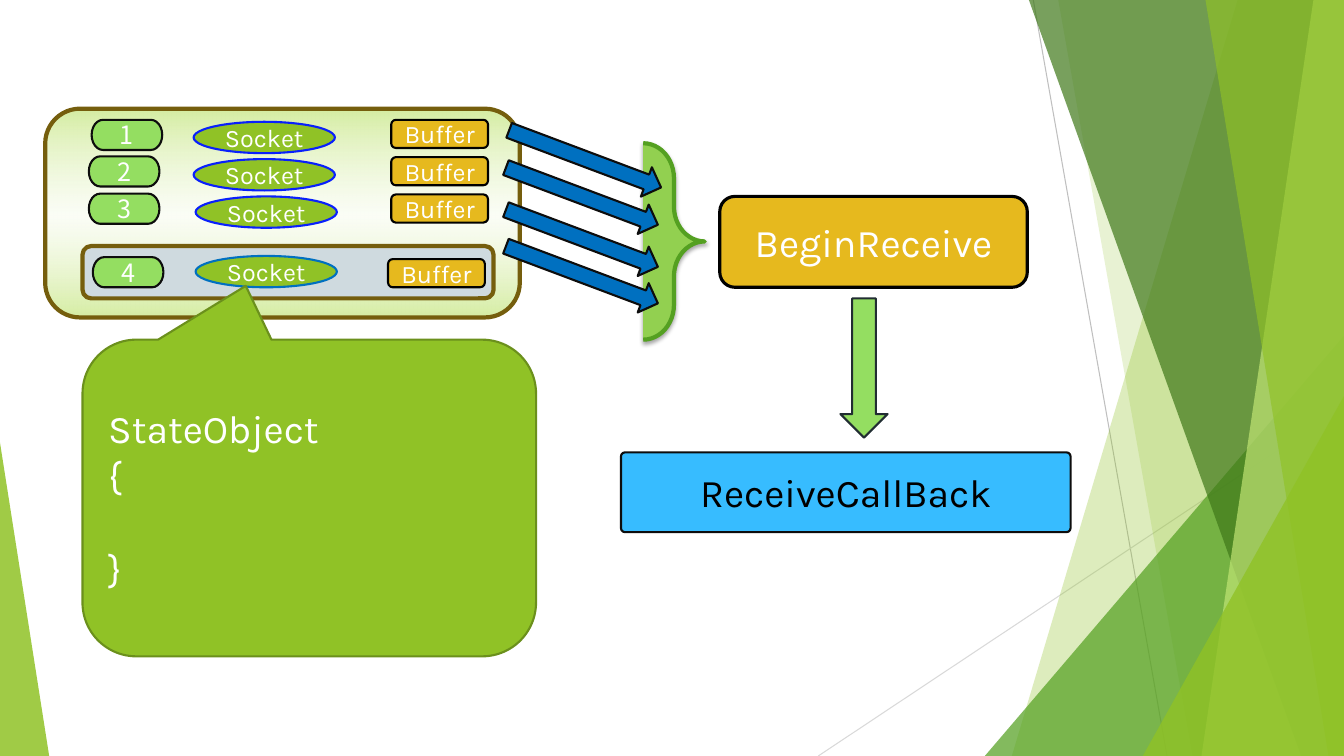
from lxml.etree import SubElement
from pptx import Presentation
from pptx.dml.color import RGBColor
from pptx.enum.shapes import MSO_CONNECTOR, MSO_SHAPE
from pptx.enum.text import MSO_ANCHOR, PP_ALIGN
from pptx.oxml.ns import qn
from pptx.util import Cm, Pt

WIDTH, HEIGHT = 33.87, 19.05
GREEN, LEAF, GOLD, BROWN = "90C226", "94DE61", "E6B91E", "755E0D"
BLUE, BLACK, INK, WHITE = "0070C0", "000000", "0D0D0D", "FFFFFF"

presentation = Presentation()
presentation.slide_width = Cm(WIDTH)
presentation.slide_height = Cm(HEIGHT)
slide = presentation.slides.add_slide(presentation.slide_layouts[6])
shapes = slide.shapes


def paint(shape, fill, line=None, line_width=1.5, opacity=100):
    """Set the fill, its opacity in percent and the outline, without shadow."""
    shape.shadow.inherit = False
    shape.fill.solid()
    shape.fill.fore_color.rgb = RGBColor.from_string(fill)
    if opacity < 100:
        colour = shape._element.spPr.find(qn("a:solidFill"))[0]
        SubElement(colour, qn("a:alpha"), val=str(opacity * 1000))
    if line:
        shape.line.color.rgb = RGBColor.from_string(line)
        shape.line.width = Pt(line_width)
    else:
        shape.line.fill.background()


def add_block(kind, box, fill, line=None, line_width=1.5, lines=(), size=18,
              colour=WHITE, font="Karla", align=PP_ALIGN.CENTER, opacity=100, adjust=()):
    """Add a preset shape at box (left, top, width, height in cm) with text lines."""
    shape = shapes.add_shape(kind, *[Cm(length) for length in box])
    for index, value in enumerate(adjust):
        shape.adjustments[index] = value
    paint(shape, fill, line, line_width, opacity)
    frame = shape.text_frame
    frame.word_wrap = True
    frame.vertical_anchor = MSO_ANCHOR.MIDDLE
    for index, text in enumerate(lines):
        paragraph = frame.add_paragraph() if index else frame.paragraphs[0]
        paragraph.alignment = align
        run = paragraph.add_run()
        run.text = text
        run.font.size = Pt(size)
        run.font.name = font
        run.font.color.rgb = RGBColor.from_string(colour)
    return shape


# Background: thin lines, then translucent bands and triangles
for start_x, start_y, end_x, colour in [(26.04, 0, 29.41, "BFBFBF"),
                                        (WIDTH, 10.24, 20.62, "D9D9D9")]:
    connector = shapes.add_connector(MSO_CONNECTOR.STRAIGHT, Cm(start_x), Cm(start_y),
                                     Cm(end_x), Cm(HEIGHT))
    connector.line.color.rgb = RGBColor.from_string(colour)
    connector.line.width = Pt(0.75)
    SubElement(connector._element.spPr, qn("a:effectLst"))

# A band has a top and a bottom x; a triangle has a left, top, width and tip
facets = [
    ("band", (31.19, 25.5), GREEN, 30),
    ("band", (26.67, 30.05), GREEN, 20),
    ("triangle", (24.82, 8.46, 9.05, 1), "54A021", 72),
    ("band", (25.93, 32.79), "3F7819", 70),
    ("band", (33.1, 30.28), "C0E474", 70),
    ("band", (30.38, 33.48), GREEN, 65),
    ("triangle", (28.8, 9.98, 5.07, 1), GREEN, 80),
    ("triangle", (0, 11.15, 1.24, 0), GREEN, 85),
]
for kind, geometry, colour, opacity in facets:
    if kind == "band":
        top_x, bottom_x = geometry
        builder = shapes.build_freeform(Cm(top_x), 0)
        builder.add_line_segments([(Cm(WIDTH), 0), (Cm(WIDTH), Cm(HEIGHT)),
                                   (Cm(bottom_x), Cm(HEIGHT))], close=True)
        paint(builder.convert_to_shape(), colour, opacity=opacity)
    else:
        left, top, width, tip = geometry
        add_block(MSO_SHAPE.ISOSCELES_TRIANGLE, (left, top, width, HEIGHT - top),
                  colour, opacity=opacity, adjust=[tip])

# Panel of connections
panel = add_block(MSO_SHAPE.ROUNDED_RECTANGLE, (1.14, 2.74, 11.96, 5.26), WHITE, BROWN, 3)
panel.fill.gradient()
panel.fill.gradient_angle = 90
for stop in panel.fill.gradient_stops:
    stop.color.rgb = RGBColor.from_string("D5EDA2")
stop_list = panel._element.spPr.find(qn("a:gradFill")).find(qn("a:gsLst"))
middle = SubElement(stop_list, qn("a:gs"), pos="49000")
middle_colour = SubElement(middle, qn("a:srgbClr"), val="EAF6D1")
SubElement(middle_colour, qn("a:alpha"), val="19000")
stop_list.insert(1, middle)

add_block(MSO_SHAPE.ROUNDED_RECTANGLE, (2.08, 6.2, 10.36, 1.32), "CFDADF", BROWN, 3)

brace = add_block(MSO_SHAPE.RIGHT_BRACE, (16.21, 3.61, 1.55, 4.95), "92D050", "54A021", 3,
                  adjust=[0.567, 0.5])
effects = brace._element.spPr.find(qn("a:effectLst"))
shadow = SubElement(effects, qn("a:outerShdw"), blurRad=str(Pt(3)), dist=str(Pt(2)),
                    dir="5400000", rotWithShape="0")
shadow_colour = SubElement(shadow, qn("a:srgbClr"), val=BLACK)
SubElement(shadow_colour, qn("a:alpha"), val="35000")

# Each row: number, socket, buffer and arrow as (left, top), then the socket outline
rows = [
    ((2.31, 3.02), (4.88, 3.07), (9.86, 3.02), (12.7, 3.61), "0920FB"),
    ((2.24, 3.94), (4.88, 4.01), (9.86, 3.96), (12.62, 4.55), "0920FB"),
    ((2.24, 4.88), (4.93, 4.95), (9.86, 4.9), (12.62, 5.61), "0920FB"),
    ((2.34, 6.48), (4.93, 6.45), (9.78, 6.53), (12.62, 6.53), BLUE),
]
for number, (label, socket, buffer, arrow, socket_line) in enumerate(rows, start=1):
    cells = [
        add_block(MSO_SHAPE.FLOWCHART_TERMINATOR, (*label, 1.78, 0.76), LEAF, INK,
                  lines=[str(number)], font="Noto Sans CJK SC"),
        add_block(MSO_SHAPE.OVAL, (*socket, 3.56, 0.79), GREEN, socket_line,
                  lines=["Socket"]),
        add_block(MSO_SHAPE.ROUNDED_RECTANGLE, (*buffer, 2.44, 0.71), GOLD, BLACK,
                  lines=["Buffer"]),
    ]
    for cell in cells:
        cell.text_frame.margin_left = cell.text_frame.margin_right = 0
    receive_arrow = add_block(MSO_SHAPE.RIGHT_ARROW, (*arrow, 4.09, 0.79), BLUE, INK)
    receive_arrow.rotation = 20.6

# Receive steps
add_block(MSO_SHAPE.ROUNDED_RECTANGLE, (18.14, 4.95, 7.75, 2.29), GOLD, BLACK, 2.25,
          lines=["BeginReceive"], size=28)
add_block(MSO_SHAPE.DOWN_ARROW, (21.18, 7.52, 1.19, 3.51), LEAF, "212D32")
add_block(MSO_SHAPE.ROUNDED_RECTANGLE, (15.65, 11.4, 11.33, 2.01), "37BCFF", INK,
          lines=["ReceiveCallBack"], size=28, colour=BLACK, adjust=[0.05])

# State object callout
callout = add_block(MSO_SHAPE.ROUNDED_RECTANGULAR_CALLOUT, (2.08, 8.56, 11.43, 7.98),
                    GREEN, "6B901C", lines=["StateObject", "{", "}"], size=28,
                    align=PP_ALIGN.LEFT, adjust=[-0.14, -0.67, 0.17])
callout.text_frame.paragraphs[2].space_before = Pt(33)

presentation.save("out.pptx")
